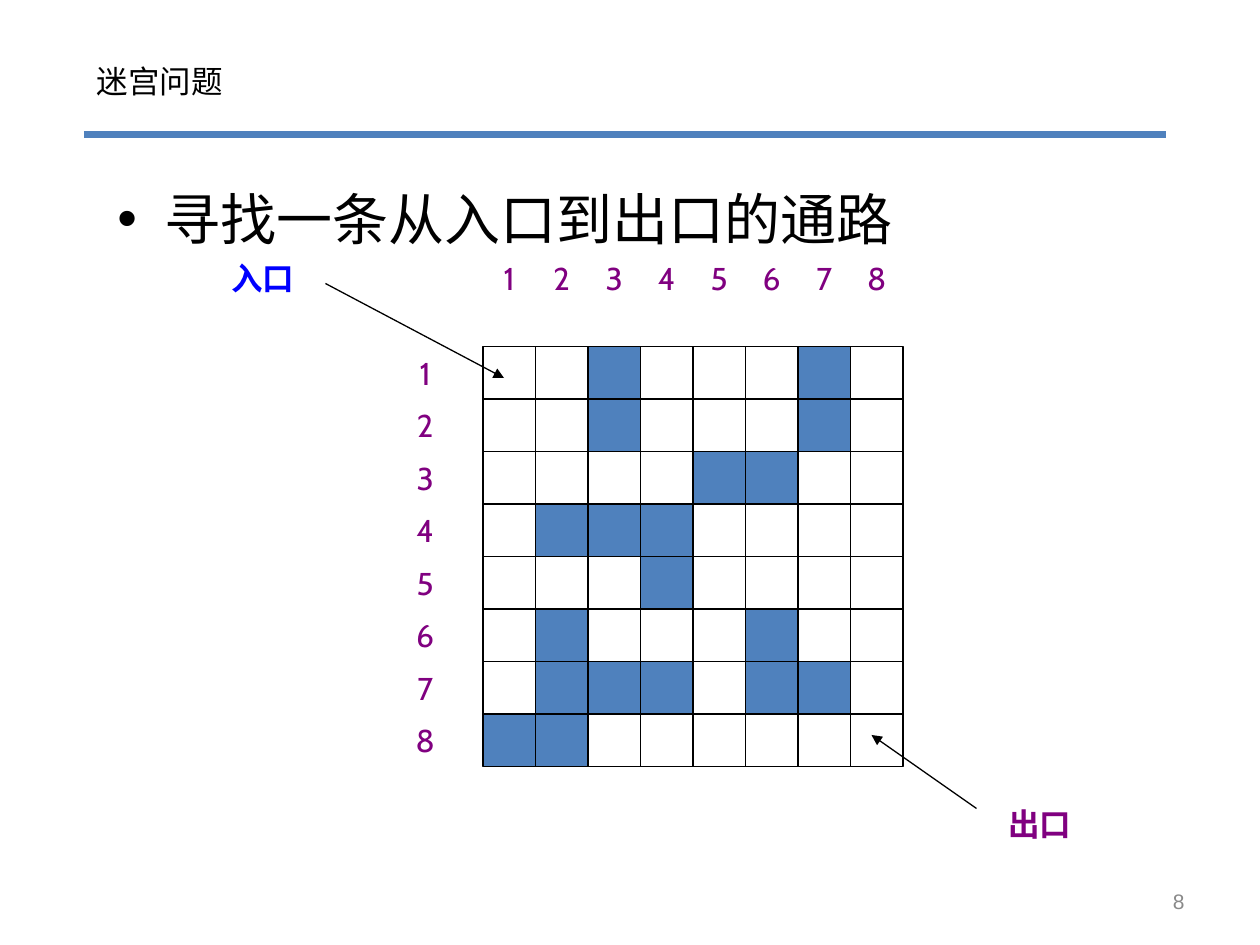
from lxml import etree
from pptx import Presentation
from pptx.dml.color import RGBColor
from pptx.enum import shapes, text
from pptx.oxml.ns import qn
from pptx.util import Pt

# Content
TITLE = "迷宫问题"
TASK = "寻找一条从入口到出口的通路"
PAGE = "8"
MAZE = [  # "#" is a wall, "." is open
    "..#...#.",
    "..#...#.",
    "....##..",
    ".###....",
    "...#....",
    ".#...#..",
    ".###.##.",
    "##......",
]
# label, colour, label left and top, arrow start, arrow end
DOORS = [
    ("入口", "entrance", (108, 144), (186, 162), (288, 216)),
    ("出口", "purple", (552, 456), (558, 462), (498, 420)),
]
COLORS = {
    "black": "000000",
    "wall": "4F81BD",
    "purple": "800080",
    "entrance": "0000FF",
    "page": "898989",
}

# Layout
CELL = 30
GRID_LEFT, GRID_TOP = 276, 198
COLUMN_LABEL_TOP, ROW_LABEL_LEFT = 144, 228
DOOR_WIDTH = 84


def rgb(name):
    return RGBColor.from_string(COLORS[name])


def write(box, words, size, font, color, align=text.PP_ALIGN.LEFT,
          anchor=text.MSO_ANCHOR.TOP, bold=False, wrap=True):
    frame = box.text_frame
    frame.word_wrap = wrap
    frame.vertical_anchor = anchor
    paragraph = frame.paragraphs[0]
    paragraph.text = words
    paragraph.alignment = align
    paragraph.font.size = Pt(size)
    paragraph.font.name = font
    paragraph.font.bold = bold
    paragraph.font.color.rgb = rgb(color)


def add_text(parent, left, top, width, height, *args, **options):
    box = parent.add_textbox(Pt(left), Pt(top), Pt(width), Pt(height))
    write(box, *args, **options)


def add_label(parent, words, left, top, width, color, bold=False):
    add_text(parent, left, top, width, CELL, words, 18, "Cabin", color,
             text.PP_ALIGN.CENTER, text.MSO_ANCHOR.MIDDLE, bold, wrap=False)


def add_line(parent, start, end, color, width, arrow=False):
    line = parent.add_connector(shapes.MSO_CONNECTOR.STRAIGHT,
                                *(Pt(value) for value in (*start, *end)))
    line.line.color.rgb = rgb(color)
    line.line.width = Pt(width)
    if arrow:
        etree.SubElement(line.line._get_or_add_ln(), qn("a:tailEnd"), type="triangle")
    etree.SubElement(line._element.spPr, qn("a:effectLst"))


def add_cell(parent, left, top, is_wall):
    cell = parent.add_shape(shapes.MSO_SHAPE.RECTANGLE,
                            Pt(left), Pt(top), Pt(CELL), Pt(CELL))
    cell.shadow.inherit = False
    cell.line.color.rgb = rgb("black")
    cell.line.width = Pt(0.75)
    if is_wall:
        cell.fill.solid()
        cell.fill.fore_color.rgb = rgb("wall")
    else:
        cell.fill.background()


def add_maze(slide):
    maze = slide.shapes.add_group_shape().shapes
    for row, marks in enumerate(MAZE):
        for column, mark in enumerate(marks):
            add_cell(maze, GRID_LEFT + column * CELL, GRID_TOP + row * CELL, mark == "#")
    for index in range(len(MAZE)):
        number, offset = str(index + 1), index * CELL
        add_label(maze, number, GRID_LEFT + offset, COLUMN_LABEL_TOP, CELL, "purple")
        add_label(maze, number, ROW_LABEL_LEFT, GRID_TOP + offset, CELL, "purple")


def add_task(slide):
    box = slide.shapes.add_textbox(Pt(60), Pt(102), Pt(606), Pt(54))
    properties = box.text_frame.paragraphs[0]._p.get_or_add_pPr()
    properties.set("marL", str(Pt(27)))
    properties.set("indent", str(-Pt(27)))
    etree.SubElement(properties, qn("a:buFont"), typeface="Arial")
    etree.SubElement(properties, qn("a:buChar"), char="•")
    write(box, TASK, 32, "Calibri", "black")


def main():
    deck = Presentation()
    deck.slide_width, deck.slide_height = Pt(720), Pt(540)
    slide = deck.slides.add_slide(deck.slide_layouts[5])

    # Title and rule
    title = slide.shapes.title
    title.left, title.top, title.width, title.height = Pt(48), Pt(32), Pt(613), Pt(29)
    write(title, TITLE, 18, "Calibri", "black")
    title.text_frame.auto_size = text.MSO_AUTO_SIZE.SHAPE_TO_FIT_TEXT
    add_line(slide.shapes, (48, 77), (666, 77), "wall", 4)

    add_maze(slide)

    # Entrance and exit
    for words, color, (left, top), start, end in DOORS:
        door = slide.shapes.add_group_shape().shapes
        add_label(door, words, left, top, DOOR_WIDTH, color, bold=True)
        add_line(door, start, end, "black", 0.75, arrow=True)

    add_task(slide)

    # Page number
    add_text(slide.shapes, 516, 500.5, 168, 28.75, PAGE, 12, "Arial", "page",
             text.PP_ALIGN.RIGHT, text.MSO_ANCHOR.MIDDLE)

    deck.save("out.pptx")


if __name__ == "__main__":
    main()
